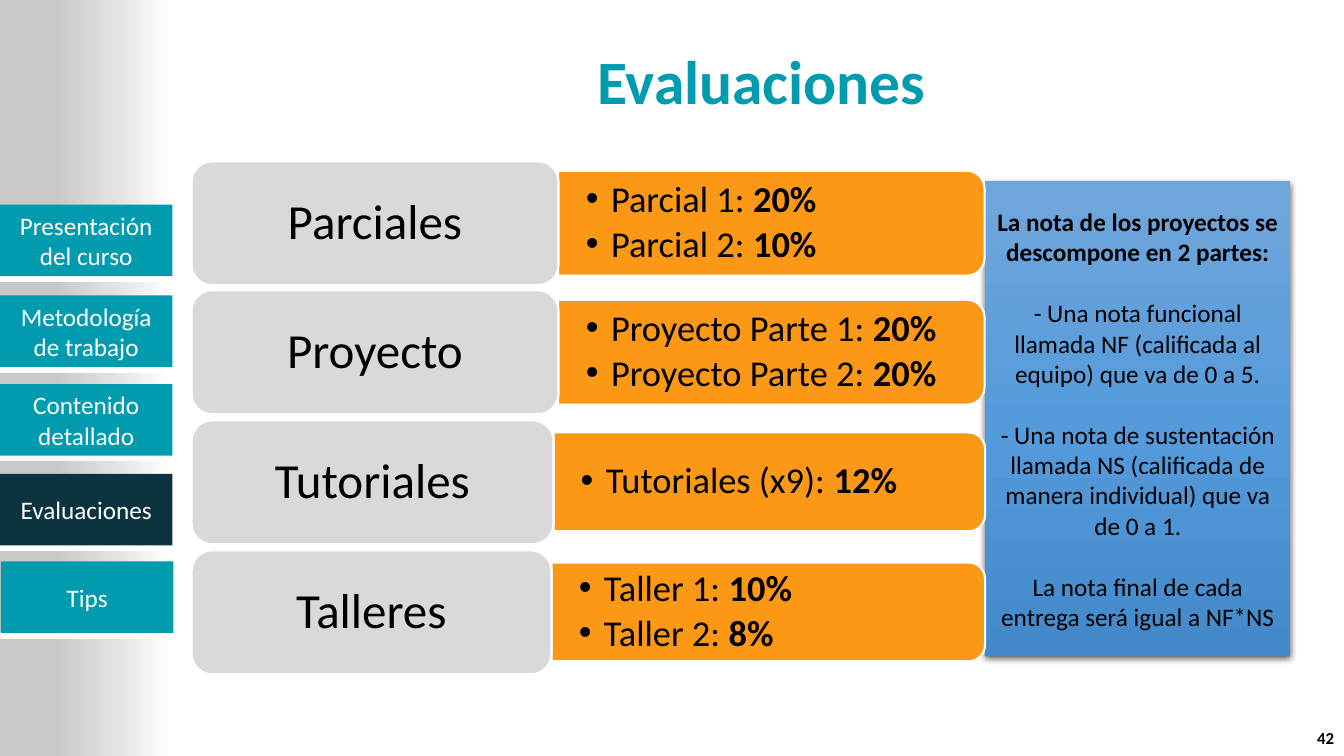
from lxml.etree import SubElement
from pptx import Presentation
from pptx.dml.color import RGBColor
from pptx.enum.shapes import MSO_SHAPE
from pptx.enum.text import MSO_ANCHOR, PP_ALIGN
from pptx.oxml.ns import qn
from pptx.util import Pt

PX = 9144
THEME = {
    "font": "Calibri",
    "teal": "009BAF", "navy": "0D3240", "orange": "FB9815", "grey": "D9D9D9",
    "white": "FFFFFF", "black": "000000",
    "sidebar": [(0, "FFFFFF"), (36, "E0E0E0"), (67, "C8C8C8")],
    "note": [(0, "71A6DB"), (50, "559BDB"), (100, "448ACA")],
    "title_size": 44, "category_size": 35, "item_size": 26,
    "body_size": 18, "number_size": 12,
}


def add_box(frame, fill=None, line=None, kind=MSO_SHAPE.RECTANGLE, angle=0):
    shape = slide.shapes.add_shape(kind, *(length * PX for length in frame))
    shape.shadow.inherit = False
    if fill is None:
        shape.fill.background()
    elif isinstance(fill, list):
        shape.fill.gradient()
        shape.fill.gradient_angle = angle
        stops = shape._element.spPr.find(qn("a:gradFill")).find(qn("a:gsLst"))
        for stop in list(stops):
            stops.remove(stop)
        for position, color in fill:
            stop = SubElement(stops, qn("a:gs"), pos=str(position * 1000))
            SubElement(stop, qn("a:srgbClr"), val=color)
    else:
        shape.fill.solid()
        shape.fill.fore_color.rgb = RGBColor.from_string(fill)
    if line:
        shape.line.color.rgb = RGBColor.from_string(THEME["white"])
        shape.line.width = Pt(line)
    else:
        shape.line.fill.background()
    return shape


def write(shape, paragraphs, size, color="black", margins=(10, 5), bullet=False, **layout):
    text_frame = shape.text_frame
    frame_format = {
        "word_wrap": True, "vertical_anchor": MSO_ANCHOR.MIDDLE,
        "margin_left": margins[0] * PX, "margin_right": margins[0] * PX,
        "margin_top": margins[1] * PX, "margin_bottom": margins[1] * PX,
    }
    for name, value in frame_format.items():
        setattr(text_frame, name, value)
    for index, runs in enumerate(paragraphs):
        paragraph = text_frame.add_paragraph() if index else text_frame.paragraphs[0]
        if bullet:
            properties = paragraph._p.get_or_add_pPr()
            properties.set("marL", str(25 * PX))
            properties.set("indent", str(-25 * PX))
            SubElement(properties, qn("a:buFont"), typeface="Arial")
            SubElement(properties, qn("a:buChar"), char="•")
        for name, value in {"alignment": PP_ALIGN.CENTER, **layout}.items():
            if index or name != "space_before":
                setattr(paragraph, name, value)
        for text, bold in runs:
            run = paragraph.add_run()
            run.text = text
            run_format = {"name": THEME["font"], "size": Pt(THEME[size]), "bold": bold}
            for name, value in run_format.items():
                setattr(run.font, name, value)
            run.font.color.rgb = RGBColor.from_string(THEME[color])


presentation = Presentation()
presentation.slide_width = 1333 * PX
presentation.slide_height = 750 * PX
slide = presentation.slides.add_slide(presentation.slide_layouts[6])

add_box((-1, 0, 171, 750), THEME["sidebar"], angle=180)
menu = [
    ("Presentación del curso", 0, 203),
    ("Metodología de trabajo", 0, 293),
    ("Contenido detallado", 0, 381),
    ("Evaluaciones", 0, 470),
    ("Tips", 1, 557),
]
for label, left, top in menu:
    add_box((left, top + 71, 171, 5), THEME["white"], 1.25)
    color = "navy" if label == "Evaluaciones" else "teal"
    tab = add_box((left, top, 171, 71), THEME[color])
    write(tab, [[(label, False)]], "body_size", "white")

title = slide.shapes.add_textbox(227 * PX, 24 * PX, 1057 * PX, 111 * PX)
write(title, [[("Evaluaciones", True)]], "title_size", "teal")
number = slide.shapes.add_textbox(1281 * PX, 715 * PX, 52 * PX, 34 * PX)
write(number, [[("42", True)]], "number_size", alignment=PP_ALIGN.RIGHT)

note = add_box((977, 180, 303, 471), THEME["note"], angle=270)
effects = note._element.spPr.find(qn("a:effectLst"))
shadow = SubElement(effects, qn("a:outerShdw"), blurRad=str(Pt(4.5)), dist=str(Pt(1.5)),
                    dir="5400000", rotWithShape="0")
shadow_color = SubElement(shadow, qn("a:srgbClr"), val=THEME["black"])
SubElement(shadow_color, qn("a:alpha"), val="63000")
note_text = [
    [("La nota de los proyectos se descompone en 2 partes:", True)],
    [("- Una nota funcional llamada NF (calificada al equipo) que va de 0 a 5.", False)],
    [("- Una nota de sustentación llamada NS (calificada de manera individual) que va de 0 a 1.",
      False)],
    [("La nota final de cada entrega será igual a NF*NS", False)],
]
write(note, note_text, "body_size", space_before=Pt(22))

categories = [
    ("Parciales", 364, 104, [("Parcial 1: ", "20%"), ("Parcial 2: ", "10%")]),
    ("Proyecto", 364, 104, [("Proyecto Parte 1: ", "20%"), ("Proyecto Parte 2: ", "20%")]),
    ("Tutoriales", 359, 98, [("Tutoriales (x9): ", "12%")]),
    ("Talleres", 357, 98, [("Taller 1: ", "10%"), ("Taller 2: ", "8%")]),
]
for row, (category, width, height, items) in enumerate(categories):
    top = 160 + row * 386 // 3
    middle = top + 61
    left = 190 + width
    length = 977 - left
    panel = add_box((left + (length - height) // 2, middle - length // 2, height, length),
                    THEME["orange"], 1.5, MSO_SHAPE.ROUND_2_SAME_RECTANGLE)
    panel.rotation = 90
    details = slide.shapes.add_textbox(left * PX, (middle - 47) * PX,
                                       (length - 5) * PX, 94 * PX)
    item_runs = [[(name, False), (weight, True)] for name, weight in items]
    write(details, item_runs, "item_size", margins=(27, 14), bullet=True,
          alignment=PP_ALIGN.LEFT, line_spacing=0.9, space_after=Pt(4))
    card = add_box((190, top, width, 123), THEME["grey"], 1.5, MSO_SHAPE.ROUNDED_RECTANGLE)
    write(card, [[(category, False)]], "category_size", margins=(21, 13), line_spacing=0.9)

presentation.save("out.pptx")
